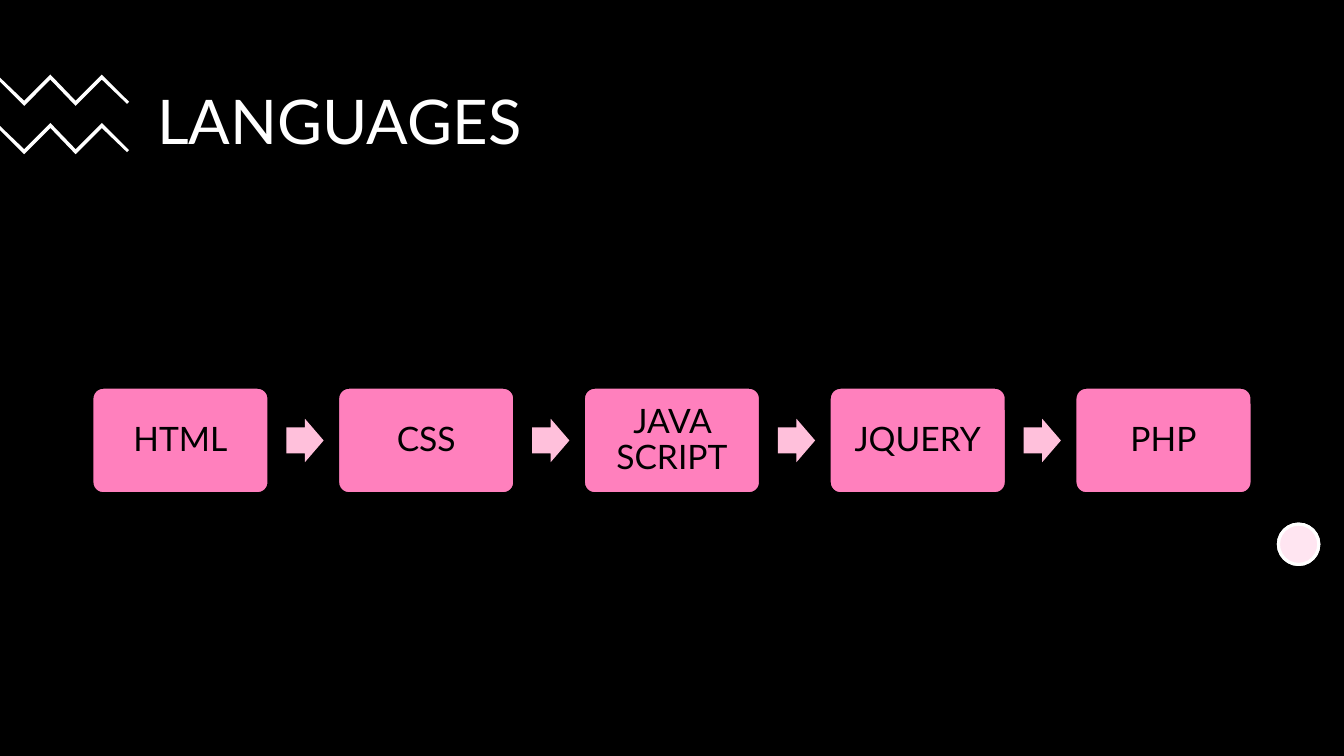
from lxml import etree
from pptx import Presentation
from pptx.dml.color import RGBColor
from pptx.enum import shapes, text
from pptx.oxml import ns
from pptx.util import Inches, Pt

TITLE = "LANGUAGES"
LANGUAGES = ["HTML", "CSS", "JAVA SCRIPT", "JQUERY", "PHP"]
ZIGZAG = [(0.5, 0), (0.75, 0.26), (1.01, 0), (1.28, 0.27), (1.26, 0.29), (1.01, 0.05),
          (0.75, 0.31), (0.5, 0.05), (0.24, 0.31), (0, 0.07), (0, 0.03), (0.24, 0.26)]
ZIGZAG_TOPS = [0.74, 1.22]

BLACK = RGBColor(0x00, 0x00, 0x00)
WHITE = RGBColor(0xFF, 0xFF, 0xFF)
PINK = RGBColor(0xFF, 0x80, 0xBD)
PALE_PINK = RGBColor(0xFF, 0xC0, 0xDB)
FONT = "Lato"

BOX_LEFT, BOX_TOP, BOX_WIDTH, BOX_HEIGHT = 0.92, 3.85, 1.74, 1.04
LAST_LEFT = 10.67
ARROW_OFFSET, ARROW_WIDTH, ARROW_HEIGHT = 1.92, 0.37, 0.43
BOX_INSET = 0.13


def paint(shape, fill, line=None, weight=1):
    shape.shadow.inherit = False
    shape.fill.solid()
    shape.fill.fore_color.rgb = fill
    if line is None:
        shape.line.fill.background()
    else:
        shape.line.color.rgb = line
        shape.line.width = Pt(weight)


def add_preset(page, kind, left, top, width, height):
    return page.shapes.add_shape(kind, Inches(left), Inches(top), Inches(width), Inches(height))


def write(frame, wording, size, color, align):
    frame.word_wrap = True
    frame.auto_size = text.MSO_AUTO_SIZE.NONE
    frame.vertical_anchor = text.MSO_ANCHOR.MIDDLE
    para = frame.paragraphs[0]
    para.alignment = align
    para.line_spacing = 0.9
    span = para.add_run()
    span.text = wording
    span.font.size = Pt(size)
    span.font.name = FONT
    span.font.color.rgb = color


def add_title(page):
    title = page.shapes.title
    title.left, title.top = Inches(1.46), Inches(0.62)
    title.width, title.height = Inches(10.66), Inches(1.23)
    write(title.text_frame, TITLE, 44, WHITE, text.PP_ALIGN.LEFT)


def add_zigzags(page):
    for top in ZIGZAG_TOPS:
        points = [(Inches(x), Inches(top + y)) for x, y in ZIGZAG]
        builder = page.shapes.build_freeform(*points[0])
        builder.add_line_segments(points[1:], close=True)
        paint(builder.convert_to_shape(), WHITE)


def add_dot(page):
    for fill in (WHITE, PINK):
        dot = add_preset(page, shapes.MSO_SHAPE.OVAL, 12.68, 5.2, 0.4, 0.4)
        paint(dot, fill, WHITE, 2.25)
    color = dot.fill._xPr.find(ns.qn("a:solidFill"))[0]
    etree.SubElement(color, ns.qn("a:alpha"), val="20000")


def add_process(page):
    step = (LAST_LEFT - BOX_LEFT) / (len(LANGUAGES) - 1)
    arrow_top = BOX_TOP + (BOX_HEIGHT - ARROW_HEIGHT) / 2
    for index, language in enumerate(LANGUAGES):
        left = BOX_LEFT + index * step
        box = add_preset(page, shapes.MSO_SHAPE.ROUNDED_RECTANGLE,
                         left, BOX_TOP, BOX_WIDTH, BOX_HEIGHT)
        box.adjustments[0] = 0.1
        paint(box, PINK, BLACK)
        frame = box.text_frame
        frame.margin_left = frame.margin_right = Inches(BOX_INSET)
        frame.margin_top = frame.margin_bottom = Inches(BOX_INSET)
        write(frame, language, 24, BLACK, text.PP_ALIGN.CENTER)
        if index < len(LANGUAGES) - 1:
            arrow = add_preset(page, shapes.MSO_SHAPE.RIGHT_ARROW, left + ARROW_OFFSET,
                               arrow_top, ARROW_WIDTH, ARROW_HEIGHT)
            arrow.adjustments[0] = 0.6
            arrow.adjustments[1] = 0.5
            paint(arrow, PALE_PINK)


def main():
    """Build the slide that shows the languages as a chain of boxes and arrows."""
    deck = Presentation()
    deck.slide_width, deck.slide_height = Inches(13.33), Inches(7.5)
    page = deck.slides.add_slide(deck.slide_layouts[5])
    page.background.fill.solid()
    page.background.fill.fore_color.rgb = BLACK
    add_title(page)
    add_zigzags(page)
    add_dot(page)
    add_process(page)
    deck.save("out.pptx")


if __name__ == "__main__":
    main()
